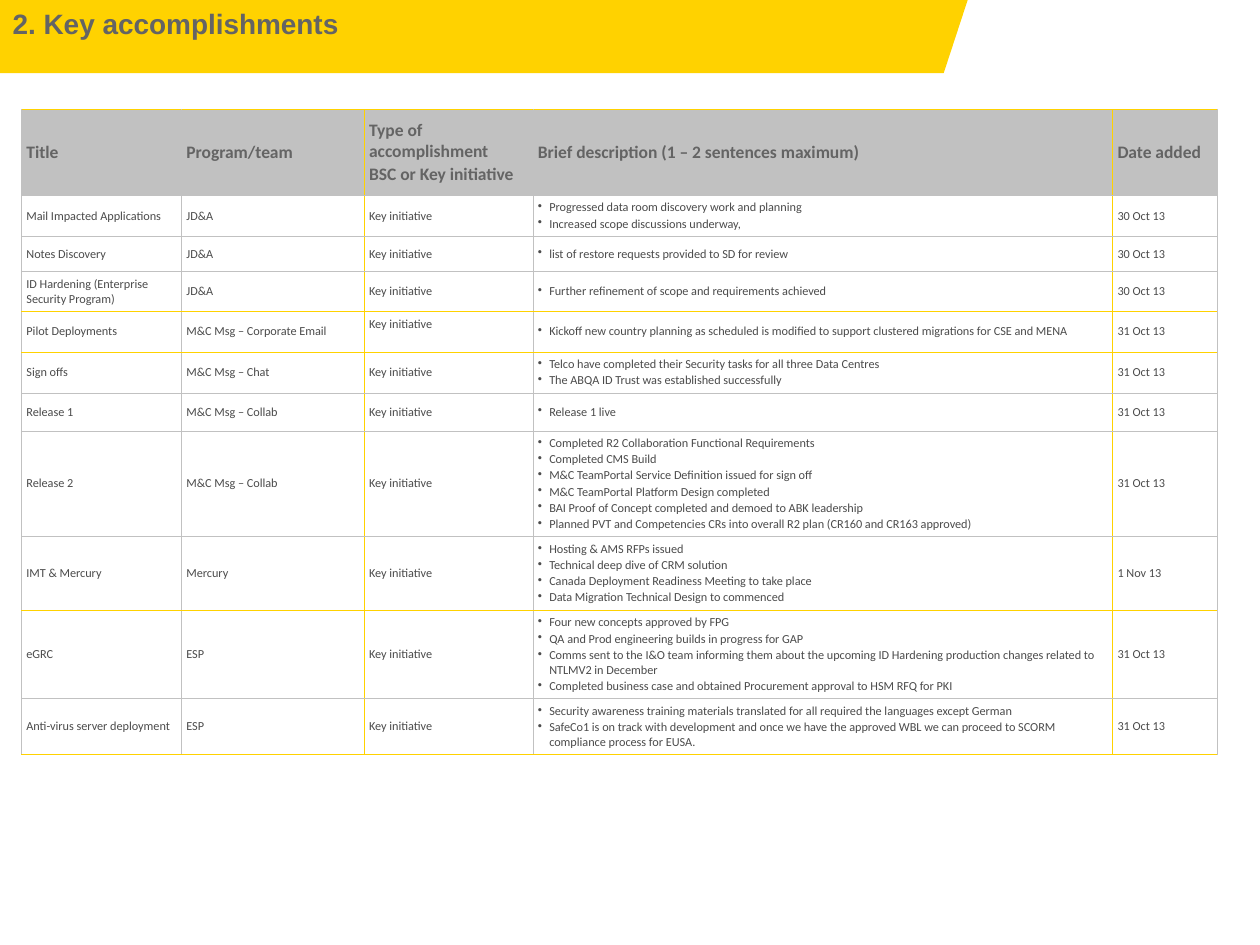
import lxml.etree
import pptx
import pptx.dml.color
import pptx.enum.text
import pptx.oxml.ns
import pptx.util

Inches = pptx.util.Inches
Pt = pptx.util.Pt
ANCHOR = pptx.enum.text.MSO_ANCHOR

YELLOW, GREY, WHITE = "FFD200", "C1C1C1", "FFFFFF"
HEADING_TEXT, BODY_TEXT = "646464", "4B4B4B"
COLUMN_WIDTHS = [1.27, 1.45, 1.34, 4.6, 0.83]
ROW_HEIGHTS = [0.68, 0.32, 0.28, 0.31, 0.32, 0.32, 0.3, 0.83, 0.58, 0.69, 0.44]
YELLOW_ROW_EDGES = {0, 4, 5, 9, 11}
YELLOW_COLUMN_EDGES = {2, 4}
DESCRIPTION_COLUMN = 3
PILOT_TYPE_CELL = (4, 2)
HEADINGS = [
    "Title", "Program/team", "Type of accomplishment\nBSC or Key initiative",
    "Brief description (1 – 2 sentences maximum)", "Date added",
]
ACCOMPLISHMENTS = [
    ("Mail Impacted Applications", "JD&A", "30 Oct 13", [
        "Progressed data room discovery work and planning",
        "Increased scope discussions underway,"]),
    ("Notes Discovery", "JD&A", "30 Oct 13", [
        "list of restore requests provided to SD for review"]),
    ("ID Hardening (Enterprise Security Program)", "JD&A", "30 Oct 13", [
        "Further refinement of scope and requirements achieved"]),
    ("Pilot Deployments", "M&C Msg – Corporate Email", "31 Oct 13", [
        "Kickoff new country planning as scheduled is modified to support "
        "clustered migrations for CSE and MENA"]),
    ("Sign offs", "M&C Msg – Chat", "31 Oct 13", [
        "Telco have completed their Security tasks for all three Data Centres",
        "The ABQA ID Trust was established successfully"]),
    ("Release 1", "M&C Msg – Collab", "31 Oct 13", ["Release 1 live"]),
    ("Release 2", "M&C Msg – Collab", "31 Oct 13", [
        "Completed R2 Collaboration Functional Requirements",
        "Completed CMS Build",
        "M&C TeamPortal Service Definition issued for sign off",
        "M&C TeamPortal Platform Design completed",
        "BAI Proof of Concept completed and demoed to ABK leadership",
        "Planned PVT and Competencies CRs into overall R2 plan (CR160 and CR163 approved)"]),
    ("IMT & Mercury", "Mercury", "1 Nov 13", [
        "Hosting & AMS RFPs issued",
        "Technical deep dive of CRM solution",
        "Canada Deployment Readiness Meeting to take place",
        "Data Migration Technical Design to commenced"]),
    ("eGRC", "ESP", "31 Oct 13", [
        "Four new concepts approved by FPG",
        "QA and Prod engineering builds in progress for GAP",
        "Comms sent to the I&O team informing them about the upcoming ID Hardening "
        "production changes related to NTLMV2 in December",
        "Completed business case and obtained Procurement approval to HSM RFQ for PKI"]),
    ("Anti-virus server deployment", "ESP", "31 Oct 13", [
        "Security awareness training materials translated for all required the "
        "languages except German",
        "SafeCo1 is on track with development and once we have the approved WBL we "
        "can proceed to SCORM compliance process for EUSA."]),
]


def color(value):
    """Return the colour for a hex string."""
    return pptx.dml.color.RGBColor.from_string(value)


def fill_solid(item, value):
    """Fill a shape or cell with one colour."""
    item.fill.solid()
    item.fill.fore_color.rgb = color(value)


def add_element(parent, tag, **attributes):
    """Append a DrawingML child element."""
    return lxml.etree.SubElement(parent, pptx.oxml.ns.qn(tag), attributes)


def format_runs(paragraph, name, size, value, bold):
    """Set the font of every run in a paragraph."""
    for run in paragraph.runs:
        run.font.name = name
        run.font.size = Pt(size)
        run.font.bold = bold
        run.font.color.rgb = color(value)


def add_banner(slide):
    """Draw the slanted yellow band behind the title."""
    builder = slide.shapes.build_freeform(Inches(7.68), 0)
    points = [(7.49, 0.58), (0, 0.58), (0, 0)]
    builder.add_line_segments([(Inches(x), Inches(y)) for x, y in points], close=True)
    banner = builder.convert_to_shape()
    banner.shadow.inherit = False
    fill_solid(banner, YELLOW)
    banner.line.fill.background()
    slide.shapes.title.element.addprevious(banner.element)


def set_title(slide, text):
    """Place and format the slide title."""
    title = slide.shapes.title
    title.left, title.top, title.width, title.height = 0, 0, Inches(8.45), Inches(1.08)
    title.text_frame.text = text
    title.text_frame.vertical_anchor = ANCHOR.TOP
    paragraph = title.text_frame.paragraphs[0]
    paragraph.alignment = pptx.enum.text.PP_ALIGN.LEFT
    format_runs(paragraph, "Arial", 16, HEADING_TEXT, True)


def set_borders(cell, row, column):
    """Draw the four cell borders, yellow or grey by grid edge."""
    properties = cell._tc.get_or_add_tcPr()
    edges = [
        ("a:lnL", column in YELLOW_COLUMN_EDGES),
        ("a:lnR", column + 1 in YELLOW_COLUMN_EDGES),
        ("a:lnT", row in YELLOW_ROW_EDGES),
        ("a:lnB", row + 1 in YELLOW_ROW_EDGES),
    ]
    for tag, is_yellow in edges:
        line = add_element(properties, tag, w=str(Pt(0.5)))
        fill = add_element(line, "a:solidFill")
        add_element(fill, "a:srgbClr", val=YELLOW if is_yellow else GREY)


def add_bullet(paragraph):
    """Give a paragraph a hanging bullet."""
    properties = paragraph._p.get_or_add_pPr()
    properties.set("marL", str(Inches(0.09)))
    properties.set("indent", str(-Inches(0.09)))
    add_element(properties, "a:buChar", char="•")


def fill_cell(cell, text, row, column):
    """Write and format one table cell."""
    is_heading = row == 0
    size = 10 if is_heading else 7
    set_borders(cell, row, column)
    fill_solid(cell, GREY if is_heading else WHITE)
    cell.margin_left = cell.margin_right = Inches(0.04)
    cell.margin_top = cell.margin_bottom = Inches(0.04)
    cell.vertical_anchor = ANCHOR.TOP if (row, column) == PILOT_TYPE_CELL else ANCHOR.MIDDLE
    cell.text_frame.text = text
    for paragraph in cell.text_frame.paragraphs:
        if column == DESCRIPTION_COLUMN and not is_heading:
            add_bullet(paragraph)
        paragraph.space_after = Pt(size * 0.1)
        format_runs(paragraph, "Calibri", size,
                    HEADING_TEXT if is_heading else BODY_TEXT, is_heading)


def add_accomplishments_table(slide):
    """Build the table of accomplishments."""
    rows = [HEADINGS] + [
        [name, team, "Key initiative", "\n".join(points), date]
        for name, team, date, points in ACCOMPLISHMENTS
    ]
    table = slide.shapes.add_table(
        len(rows), len(HEADINGS), Inches(0.17), Inches(0.87),
        Inches(sum(COLUMN_WIDTHS)), Inches(sum(ROW_HEIGHTS))).table
    table.horz_banding = False
    for column, width in zip(table.columns, COLUMN_WIDTHS):
        column.width = Inches(width)
    for row, height in zip(table.rows, ROW_HEIGHTS):
        row.height = Inches(height)
    for row, texts in enumerate(rows):
        for column, text in enumerate(texts):
            fill_cell(table.cell(row, column), text, row, column)


def main():
    """Create and save the presentation."""
    presentation = pptx.Presentation()
    presentation.slide_width, presentation.slide_height = Inches(10), Inches(7.5)
    slide = presentation.slides.add_slide(presentation.slide_layouts[5])
    set_title(slide, "2. Key accomplishments")
    add_banner(slide)
    add_accomplishments_table(slide)
    presentation.save("out.pptx")


if __name__ == "__main__":
    main()
